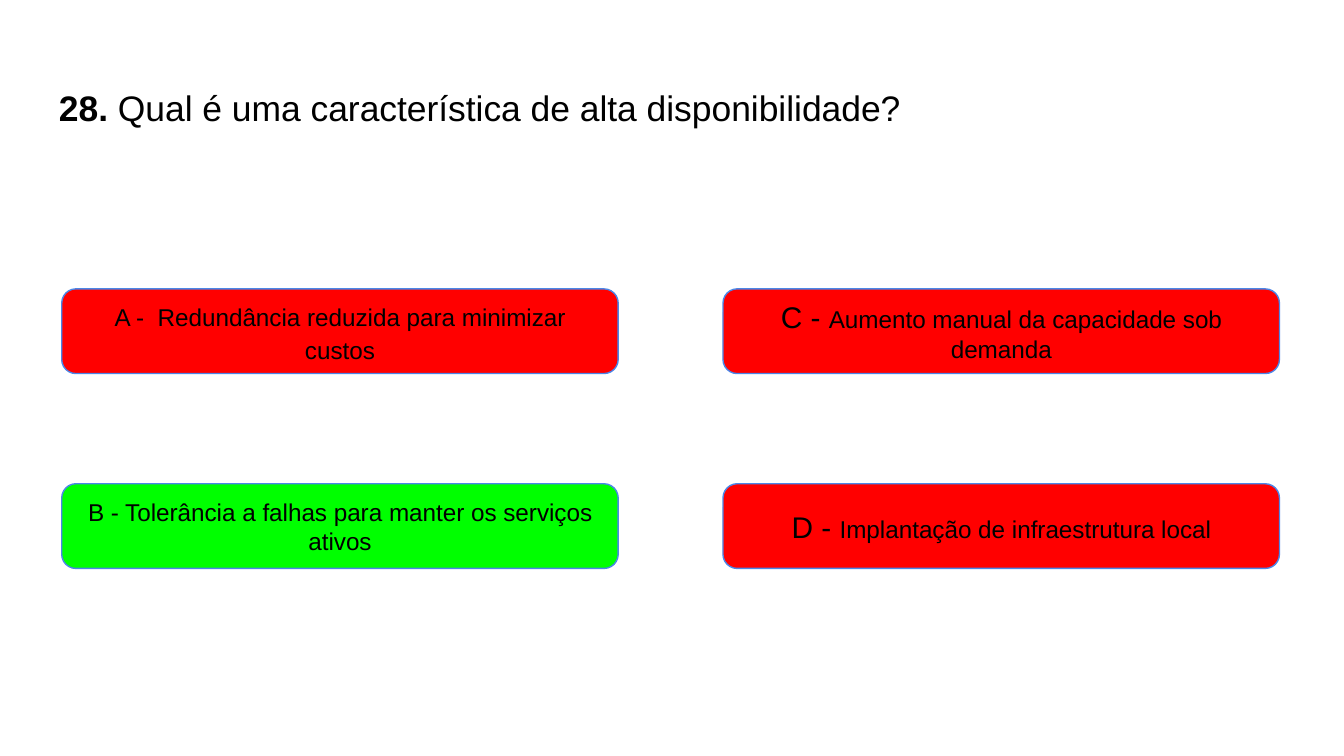
"""Build a quiz slide with one question and four answer boxes."""
from pptx import Presentation
from pptx.dml.color import RGBColor
from pptx.enum.shapes import MSO_SHAPE
from pptx.enum.text import MSO_ANCHOR, PP_ALIGN
from pptx.util import Inches, Pt


def color(value):
    return RGBColor.from_string(value)


def write(shape, spans, align, spaced):
    frame = shape.text_frame
    frame.word_wrap = True
    frame.margin_left = frame.margin_right = Inches(0.1)
    frame.margin_top = frame.margin_bottom = Inches(0.1)
    paragraph = frame.paragraphs[0]
    paragraph.alignment = align
    paragraph.font.name = "Arial"
    paragraph.font.color.rgb = color("000000")
    if spaced:
        paragraph.line_spacing = 1.15
        paragraph.space_before = paragraph.space_after = Pt(12)
    for text, size, bold in spans:
        span = paragraph.add_run()
        span.text = text
        span.font.size = Pt(size)
        span.font.bold = bold
    return frame


deck = Presentation()
deck.slide_width = Inches(10)
deck.slide_height = Inches(10) * 9 // 16
page = deck.slides.add_slide(deck.slide_layouts[6])

question = page.shapes.add_textbox(Inches(0.34), Inches(0.49), Inches(9.32), Inches(0.63))
question_spans = [
    ("28.", 19, True),
    (" Qual é uma característica de alta disponibilidade?", 19, False),
]
write(question, question_spans, PP_ALIGN.LEFT, True)

WRONG, RIGHT = "FF0000", "00FF00"
answers = [
    (WRONG, [("A -  Redundância reduzida para minimizar custos", 13, False)], True),
    (RIGHT, [("B - Tolerância a falhas para manter os serviços ativos", 13, False)], False),
    (WRONG, [("C - ", 16, False), ("Aumento manual da capacidade sob demanda", 13, False)], False),
    (WRONG, [("D - ", 16, False), ("Implantação de infraestrutura local", 13, False)], False),
]
for index, (fill, spans, spaced) in enumerate(answers):
    column, row = divmod(index, 2)
    left = Inches(0.46 + 4.92 * column)
    top = Inches(2.15 + 1.45 * row)
    box = page.shapes.add_shape(
        MSO_SHAPE.ROUNDED_RECTANGLE, left, top, Inches(4.14), Inches(0.63)
    )
    box.shadow.inherit = False
    box.fill.solid()
    box.fill.fore_color.rgb = color(fill)
    box.line.color.rgb = color("4A86E8")
    box.line.width = Pt(0.75)
    frame = write(box, spans, PP_ALIGN.CENTER, spaced)
    frame.vertical_anchor = MSO_ANCHOR.MIDDLE

deck.save("out.pptx")
